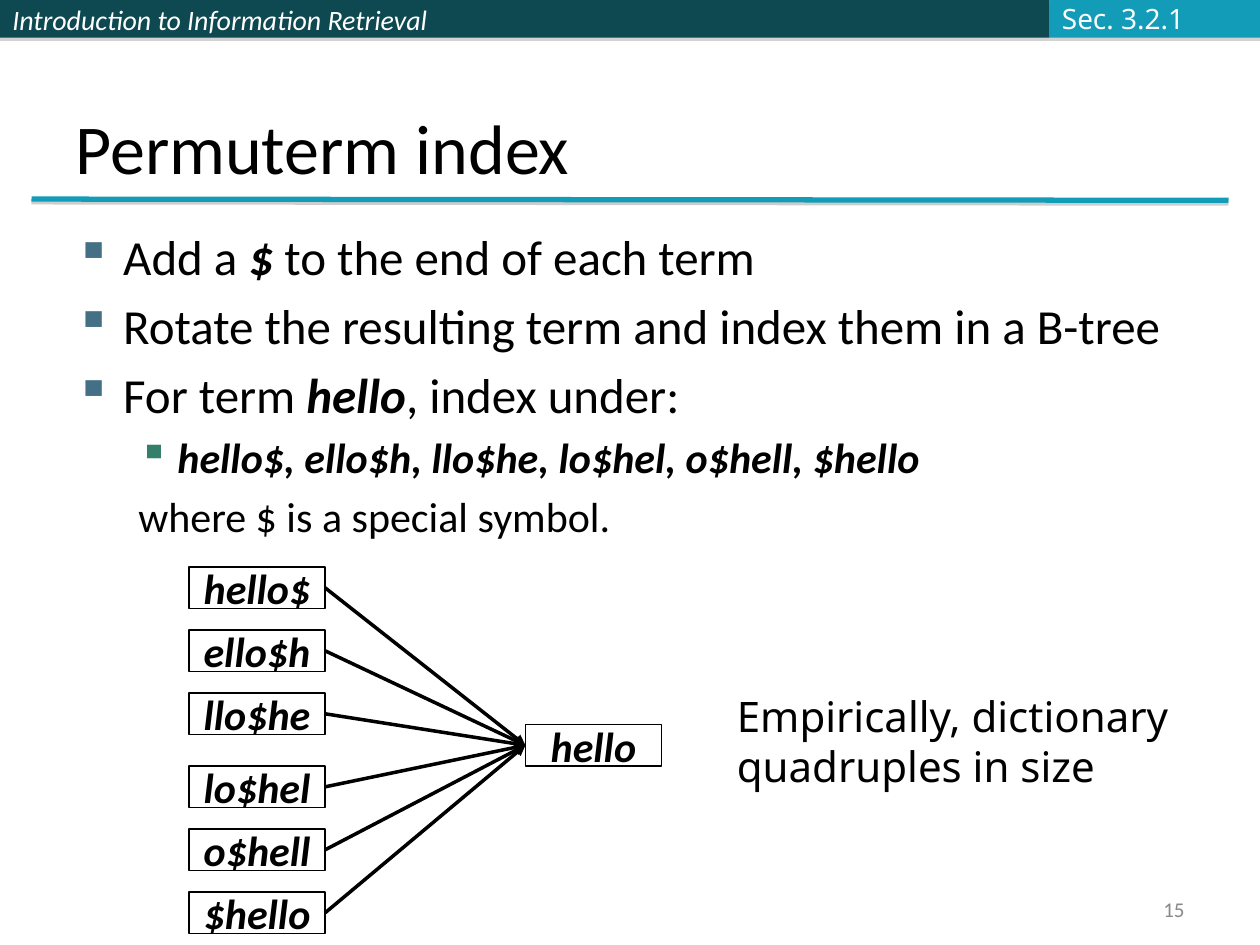
from lxml import etree
from pptx import Presentation
from pptx import util as u
from pptx.dml import color
from pptx.enum import shapes, text
from pptx.oxml import ns

INK, DARK, TEAL = "000000", "0E4851", "139CB7"
BODY = {"name": "Calibri", "size": 28, "color": INK}
SUB = {**BODY, "size": 24}
STRONG = {"bold": True, "italic": True}
NOTE = {"name": "Noto Sans", "size": 24, "color": INK}


def rgb(value):
    return color.RGBColor.from_string(value)


def add_xml(parent, tag, **attributes):
    return etree.SubElement(parent, ns.qn(tag), attributes)


class SlideBuilder:
    """Holds the current slide and draws each kind of element on it."""

    def __init__(self, slide):
        self.slide = slide

    def runs(self, paragraph, parts, style):
        for words, extra in parts:
            run = paragraph.add_run()
            run.text = words
            for key, value in {**style, **extra}.items():
                if key == "color":
                    run.font.color.rgb = rgb(value)
                else:
                    setattr(run.font, key, u.Pt(value) if key == "size" else value)

    def frame(self, shape, **settings):
        defaults = {"word_wrap": True, "auto_size": text.MSO_AUTO_SIZE.NONE,
                    "vertical_anchor": text.MSO_ANCHOR.MIDDLE}
        for key, value in {**defaults, **settings}.items():
            setattr(shape.text_frame, key, value)
        return shape.text_frame

    def place(self, shape, area):
        for key, value in zip(("left", "top", "width", "height"), area):
            setattr(shape, key, u.Inches(value))

    def title(self, words, area, style):
        shape = self.slide.shapes.title
        self.place(shape, area)
        frame = self.frame(shape, vertical_anchor=text.MSO_ANCHOR.BOTTOM)
        frame.paragraphs[0].alignment = text.PP_ALIGN.LEFT
        self.runs(frame.paragraphs[0], [(words, {})], style)

    def text_box(self, lines, area, style, align=text.PP_ALIGN.LEFT, **settings):
        shape = self.slide.shapes.add_textbox(*map(u.Inches, area))
        frame = self.frame(shape, **settings)
        for index, words in enumerate(lines):
            paragraph = frame.add_paragraph() if index else frame.paragraphs[0]
            paragraph.alignment = align
            self.runs(paragraph, [(words, {})], style)

    def bullets(self, items, area):
        shape = self.slide.shapes.add_textbox(*map(u.Inches, area))
        frame = self.frame(shape, vertical_anchor=text.MSO_ANCHOR.TOP)
        for index, (level, bullet, parts) in enumerate(items):
            paragraph = frame.add_paragraph() if index else frame.paragraphs[0]
            paragraph.level = level
            style = SUB if level else BODY
            paragraph.space_before = u.Pt(style["size"] * 0.2)
            margin, indent = ((0.38, -0.38), (0.81, -0.31))[level]
            properties = paragraph._p.get_or_add_pPr()
            properties.set("marL", str(u.Inches(margin)))
            properties.set("indent", str(u.Inches(indent)))
            if bullet:
                add_xml(add_xml(properties, "a:buClr"), "a:srgbClr", val=bullet)
                add_xml(properties, "a:buChar", char="▪")
            else:
                add_xml(properties, "a:buNone")
            self.runs(paragraph, parts, style)

    def box(self, area, words="", style=BODY, fill=None, line=None,
            align=text.PP_ALIGN.CENTER):
        shape = self.slide.shapes.add_shape(
            shapes.MSO_SHAPE.RECTANGLE, *map(u.Inches, area))
        if fill:
            shape.fill.solid()
            shape.fill.fore_color.rgb = rgb(fill)
        else:
            shape.fill.background()
        if line:
            shape.line.color.rgb = rgb(line)
            shape.line.width = u.Pt(0.75)
        else:
            shape.line.fill.background()
        shape.shadow.inherit = False
        if words:
            paragraph = self.frame(shape).paragraphs[0]
            paragraph.alignment = align
            self.runs(paragraph, [(words, {})], style)
        return shape

    def line(self, start, end, line_color, width, arrow=False):
        connector = self.slide.shapes.add_connector(
            shapes.MSO_CONNECTOR.STRAIGHT, *map(u.Inches, (*start, *end)))
        connector.line.color.rgb = rgb(line_color)
        connector.line.width = u.Pt(width)
        if arrow:
            add_xml(connector.line._get_or_add_ln(), "a:tailEnd", type="triangle")
        add_xml(connector._element.spPr, "a:effectLst")
        return connector

    def drop_shadow(self, shape, distance, opacity):
        effects = shape._element.spPr.find(ns.qn("a:effectLst"))
        shadow = add_xml(effects, "a:outerShdw", blurRad="0",
                         dist=str(u.Pt(distance)), dir="5400000", rotWithShape="0")
        tint = add_xml(shadow, "a:srgbClr", val="808080")
        add_xml(tint, "a:alpha", val=str(opacity * 1000))


def main():
    presentation = Presentation()
    presentation.slide_width, presentation.slide_height = u.Inches(10), u.Inches(7.5)
    builder = SlideBuilder(presentation.slides.add_slide(presentation.slide_layouts[5]))

    # Header band and rule under the title
    header = {**BODY, "size": 16, "color": "FFFFFF", "italic": True}
    bands = [(0, 4.08, DARK, "Introduction to Information Retrieval"),
             (4.08, 4.25, DARK, ""), (8.33, 1.67, TEAL, "")]
    for left, width, fill, words in bands:
        band = builder.box((left, 0, width, 0.3), words, header, fill=fill,
                           align=text.PP_ALIGN.LEFT)
        builder.drop_shadow(band, 1.8, 35)
    rule = builder.line((0.25, 1.58), (9.75, 1.59), TEAL, 3)
    builder.drop_shadow(rule, 1.6, 38)
    builder.text_box(["Sec. 3.2.1"], (8.33, -0.04, 1.28, 0.37),
                     {**NOTE, "size": 16, "color": "FBFCFF"}, word_wrap=False)

    # Title and bullets
    builder.title("Permuterm index", (0.5, 0.3, 9, 1.25), {**BODY, "size": 40})
    blue, green = "437085", "357E69"
    rotations = ["hello$", "ello$h", "llo$he", "lo$hel", "o$hell", "$hello"]
    builder.bullets([
        (0, blue, [("Add a ", {}), ("$", STRONG), (" to the end of each term", {})]),
        (0, blue, [("Rotate the resulting term and index them in a B-tree", {})]),
        (0, blue, [("For term ", {}), ("hello", STRONG), (", index under:", {})]),
        (1, green, [(", ".join(rotations), STRONG)]),
        (1, None, [("where $ is a special symbol.", {})]),
    ], (0.5, 1.75, 9, 5.42))

    # Rotations pointing to the term: two groups of three boxes
    left, width, height, pitch = 1.5, 1.08, 0.33, 0.5
    term_left, term_top = 4.17, 5.75
    term_style = {**SUB, **STRONG}
    tops = [first + pitch * row for first in (4.5, 6.08) for row in range(3)]
    for words, top in zip(rotations, tops):
        builder.box((left, top, width, height), words, term_style, line=INK)
    builder.box((term_left, term_top, width, height), "hello", term_style, line=INK)
    for top in tops:
        builder.line((left + width, top + height / 2),
                     (term_left, term_top + height / 2), INK, 2, arrow=True)

    # Remark and slide number
    builder.text_box(["Empirically, dictionary", "quadruples in size"],
                     (5.75, 5.43, 3.81, 0.91), NOTE, word_wrap=False,
                     vertical_anchor=text.MSO_ANCHOR.TOP)
    builder.text_box(["15"], (7.17, 7.08, 2.33, 0.27),
                     {**BODY, "size": 12, "color": "898989"}, text.PP_ALIGN.RIGHT)

    presentation.save("out.pptx")


if __name__ == "__main__":
    main()
